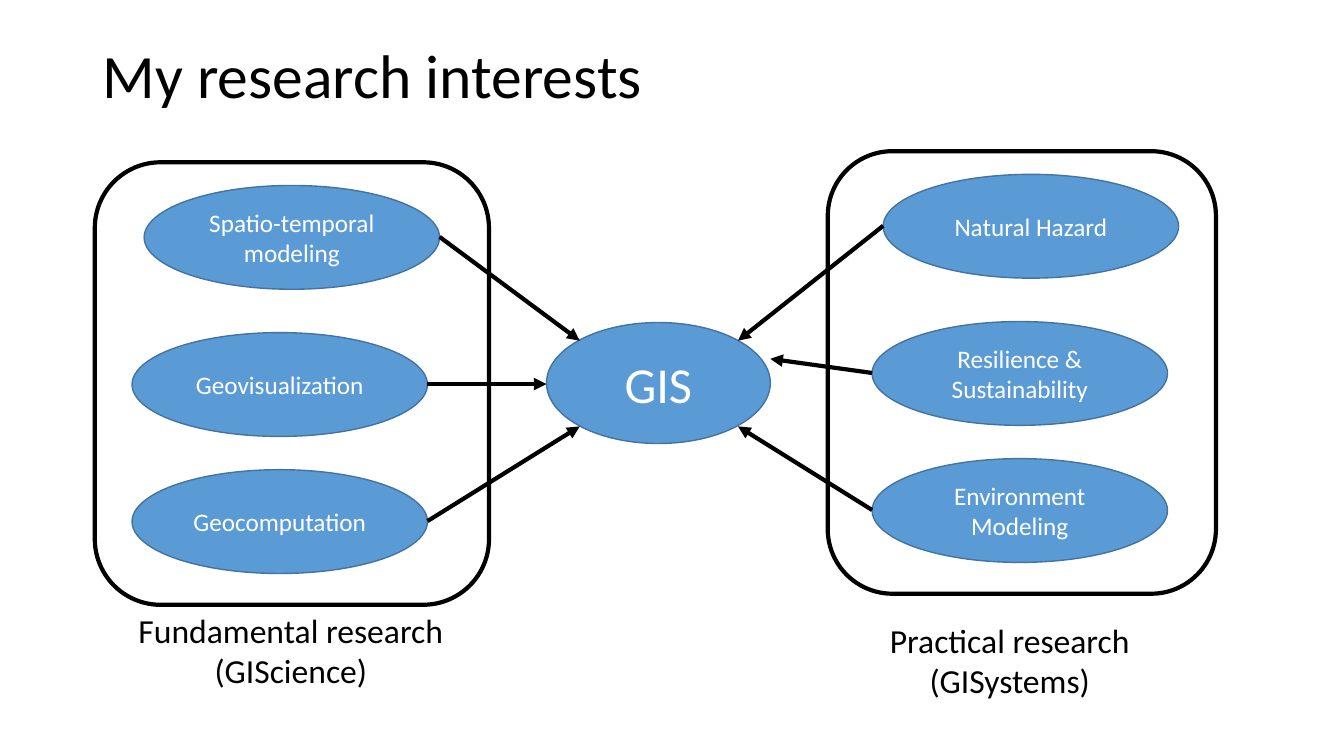
from lxml import etree
from pptx import Presentation
from pptx import util as u
from pptx.dml.color import RGBColor
from pptx.enum import shapes, text
from pptx.oxml.ns import qn

PX = 9144  # EMU per px, 100 px to the inch
COLORS = {"black": "000000", "white": "FFFFFF", "blue": "5B9BD5", "edge": "43739E"}
TOPIC_W, TOPIC_H = 293, 103

prs = Presentation()
prs.slide_width, prs.slide_height = 1333 * PX, 750 * PX
slide = prs.slides.add_slide(prs.slide_layouts[5])


def write(paragraph, words, size, color, align):
    paragraph.alignment = align
    run = paragraph.add_run()
    run.text = words
    run.font.name = "Calibri"
    run.font.size = u.Pt(size)
    run.font.color.rgb = RGBColor.from_string(COLORS[color])


def add_ellipse(words, size, *box):
    ellipse = slide.shapes.add_shape(shapes.MSO_SHAPE.OVAL, *[n * PX for n in box])
    ellipse.shadow.inherit = False
    ellipse.fill.solid()
    ellipse.fill.fore_color.rgb = RGBColor.from_string(COLORS["blue"])
    ellipse.line.color.rgb = RGBColor.from_string(COLORS["edge"])
    ellipse.line.width = u.Pt(1)
    frame = ellipse.text_frame
    frame.word_wrap = True
    frame.vertical_anchor = text.MSO_ANCHOR.MIDDLE
    write(frame.paragraphs[0], words, size, "white", text.PP_ALIGN.CENTER)


# Title
title = slide.shapes.title
title.left, title.top, title.width, title.height = [n * PX for n in (92, 5, 1150, 145)]
title.text_frame.vertical_anchor = text.MSO_ANCHOR.MIDDLE
heading = title.text_frame.paragraphs[0]
heading.line_spacing = 0.9
write(heading, "My research interests", 44, "black", text.PP_ALIGN.LEFT)

# Central field
add_ellipse("GIS", 36, 542, 320, 222, 120)

# Research areas: group box, caption, topic side facing the centre,
# and topics as (words, left, top, arrow tip)
areas = [
    ((94, 161, 391, 439), (126, 600, 325, 91),
     ["Fundamental research", "(GIScience)"], TOPIC_W,
     [("Spatio-temporal modeling", 143, 184, (575, 338)),
      ("Geovisualization", 131, 330, (542, 381)),
      ("Geocomputation", 131, 466, (575, 423))]),
    ((821, 150, 385, 439), (871, 610, 261, 91),
     ["Practical research", "(GISystems)"], 0,
     [("Natural Hazard", 876, 173, (732, 338)),
      ("Resilience & Sustainability", 865, 319, (764, 356)),
      ("Environment Modeling", 865, 455, (732, 423))]),
]
for group_box, caption_box, caption_lines, side, topics in areas:
    # Topics with arrows towards the centre
    for words, left, top, tip in topics:
        add_ellipse(words, 18, left, top, TOPIC_W, TOPIC_H)
        start = (left + side, top + TOPIC_H // 2)
        arrow = slide.shapes.add_connector(
            shapes.MSO_CONNECTOR.STRAIGHT, *[n * PX for n in start + tip])
        arrow.line.color.rgb = RGBColor.from_string(COLORS["black"])
        arrow.line.width = u.Pt(3)
        etree.SubElement(arrow.line._get_or_add_ln(), qn("a:tailEnd"), type="triangle")
        etree.SubElement(arrow._element.spPr, qn("a:effectLst"))

    # Group outline
    group = slide.shapes.add_shape(
        shapes.MSO_SHAPE.ROUNDED_RECTANGLE, *[n * PX for n in group_box])
    group.shadow.inherit = False
    group.fill.background()
    group.line.color.rgb = RGBColor.from_string(COLORS["black"])
    group.line.width = u.Pt(3)

    # Caption
    caption = slide.shapes.add_textbox(*[n * PX for n in caption_box]).text_frame
    caption.word_wrap = False
    caption.auto_size = text.MSO_AUTO_SIZE.SHAPE_TO_FIT_TEXT
    for i, words in enumerate(caption_lines):
        paragraph = caption.add_paragraph() if i else caption.paragraphs[0]
        write(paragraph, words, 24, "black", text.PP_ALIGN.CENTER)

prs.save("out.pptx")
